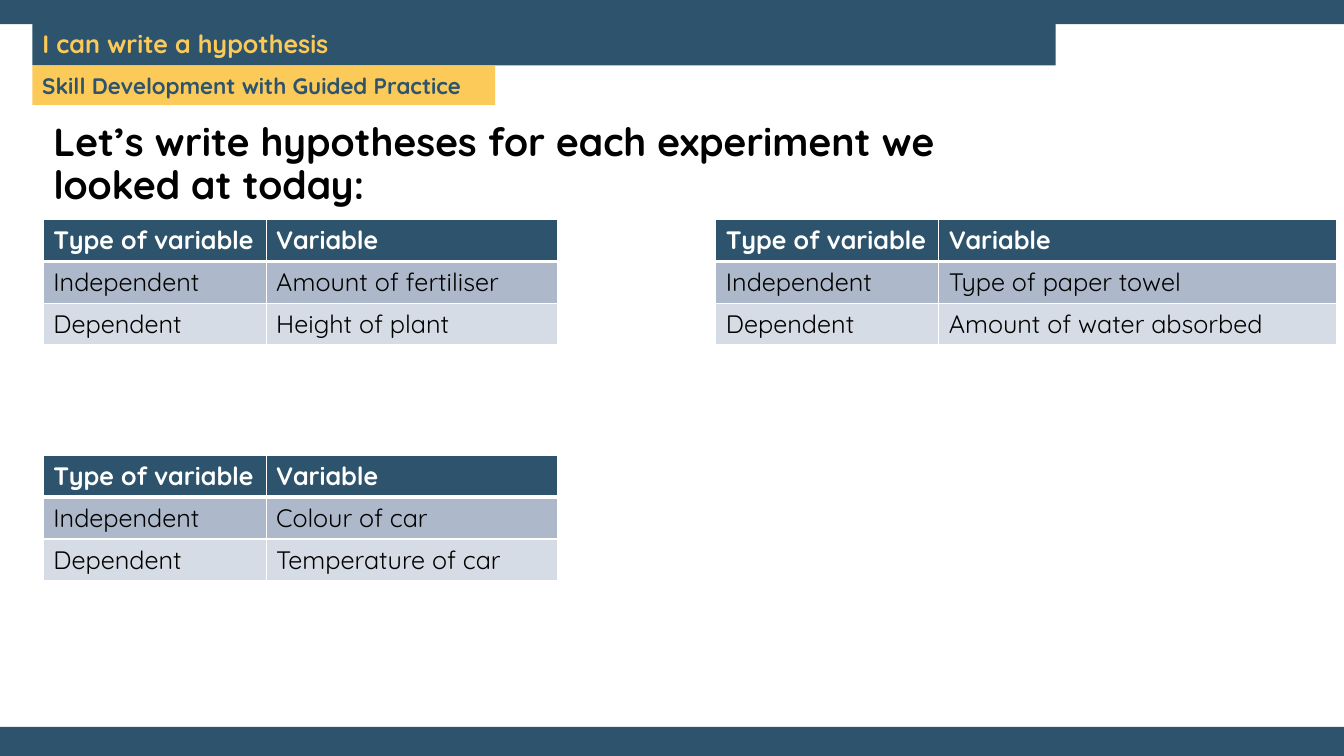
from dataclasses import dataclass

import pptx
import pptx.dml.color
import pptx.enum.shapes
import pptx.enum.text
import pptx.oxml
import pptx.oxml.ns
import pptx.util
from pptx.util import Inches


@dataclass(frozen=True)
class Theme:
    font: str = "Quicksand"
    navy: str = "2E546D"
    yellow: str = "FBCA58"
    white: str = "FFFFFF"
    black: str = "000000"
    row_fills: tuple[str, ...] = ("2E546D", "ADB9CA", "D6DCE5")
    label_size: int = 16
    text_size: int = 18
    prompt_size: int = 28
    thin_border: int = 1
    header_border: int = 3


@dataclass(frozen=True)
class Box:
    left: float
    top: float
    width: float
    height: float


@dataclass(frozen=True)
class Experiment:
    left: float
    top: float
    variable_width: float
    independent: str
    dependent: str


THEME = Theme()
TYPE_WIDTH = 2.21
ROW_HEIGHT = 0.41

TOP_BAR = Box(0, 0, 13.33, 0.24)
BOTTOM_BAR = Box(0, 7.21, 13.33, 0.29)
TITLE_BOX = Box(0.32, 0.24, 10.15, 0.41)
LABEL_BOX = Box(0.32, 0.65, 4.59, 0.39)
PROMPT_BOX = Box(0.43, 1.17, 9.93, 3)

EXPERIMENTS = (
    Experiment(0.43, 2.18, 2.89, "Amount of fertiliser", "Height of plant"),
    Experiment(0.43, 4.52, 2.89, "Colour of car", "Temperature of car"),
    Experiment(7.1, 2.18, 3.95, "Type of paper towel", "Amount of water absorbed"),
)


def rgb(colour: str) -> pptx.dml.color.RGBColor:
    return pptx.dml.color.RGBColor.from_string(colour)


def paint(target, colour: str) -> None:
    target.fill.solid()
    target.fill.fore_color.rgb = rgb(colour)


def write(text_frame, text: str, size: int, colour: str, bold: bool = True):
    paragraph = text_frame.paragraphs[0]
    paragraph.alignment = pptx.enum.text.PP_ALIGN.LEFT
    run = paragraph.add_run()
    run.text = text
    run.font.name = THEME.font
    run.font.size = pptx.util.Pt(size)
    run.font.bold = bold
    run.font.color.rgb = rgb(colour)
    return paragraph


def add_block(slide, box: Box, colour: str):
    shape = slide.shapes.add_shape(
        pptx.enum.shapes.MSO_SHAPE.RECTANGLE,
        Inches(box.left), Inches(box.top), Inches(box.width), Inches(box.height),
    )
    shape.shadow.inherit = False
    shape.line.fill.background()
    paint(shape, colour)
    return shape


def fill_placeholder(shape, box: Box, text: str, size: int, colour: str, anchor) -> None:
    shape.left, shape.top = Inches(box.left), Inches(box.top)
    shape.width, shape.height = Inches(box.width), Inches(box.height)
    frame = shape.text_frame
    frame.word_wrap = True
    frame.auto_size = pptx.enum.text.MSO_AUTO_SIZE.NONE
    frame.vertical_anchor = anchor
    # Plain paragraph: no bullet and no hanging indent
    properties = frame.paragraphs[0]._p.get_or_add_pPr()
    properties.set("marL", "0")
    properties.set("indent", "0")
    properties.append(pptx.oxml.parse_xml(f"<a:buNone {pptx.oxml.ns.nsdecls('a')}/>"))
    paragraph = write(frame, text, size, colour)
    paragraph.line_spacing = 0.9
    paragraph.space_before = pptx.util.Pt(0)


def set_borders(cell, row: int) -> None:
    widths = dict.fromkeys(("lnL", "lnR", "lnT", "lnB"), THEME.thin_border)
    if row == 0:
        widths["lnB"] = THEME.header_border
    elif row == 1:
        widths["lnT"] = THEME.header_border
    properties = cell._tc.get_or_add_tcPr()
    for tag, width in widths.items():
        properties.append(pptx.oxml.parse_xml(
            f"<a:{tag} {pptx.oxml.ns.nsdecls('a')} w=\"{pptx.util.Pt(width)}\">"
            f"<a:solidFill><a:srgbClr val=\"{THEME.white}\"/></a:solidFill></a:{tag}>"
        ))


def add_variable_table(slide, experiment: Experiment) -> None:
    rows = (
        ("Type of variable", "Variable"),
        ("Independent", experiment.independent),
        ("Dependent", experiment.dependent),
    )
    widths = (TYPE_WIDTH, experiment.variable_width)
    table = slide.shapes.add_table(
        len(rows), len(widths), Inches(experiment.left), Inches(experiment.top),
        Inches(sum(widths)), Inches(ROW_HEIGHT * len(rows)),
    ).table
    for column, width in zip(table.columns, widths):
        column.width = Inches(width)
    for row, texts in enumerate(rows):
        is_header = row == 0
        for column, text in enumerate(texts):
            cell = table.cell(row, column)
            set_borders(cell, row)
            paint(cell, THEME.row_fills[row])
            colour = THEME.white if is_header else THEME.black
            write(cell.text_frame, text, THEME.text_size, colour, is_header)


def main() -> None:
    presentation = pptx.Presentation()
    presentation.slide_width = Inches(13.33)
    presentation.slide_height = Inches(7.5)
    slide = presentation.slides.add_slide(presentation.slide_layouts[1])
    paint(slide.background, THEME.white)

    # Learning goal and prompt
    title, prompt = slide.shapes.title, slide.placeholders[1]
    paint(title, THEME.navy)
    fill_placeholder(title, TITLE_BOX, "I can write a hypothesis", THEME.text_size,
                     THEME.yellow, pptx.enum.text.MSO_ANCHOR.MIDDLE)
    fill_placeholder(prompt, PROMPT_BOX,
                     "Let’s write hypotheses for each experiment we looked at today:",
                     THEME.prompt_size, THEME.black, pptx.enum.text.MSO_ANCHOR.TOP)

    # Frame bars and lesson stage label
    for bar in (TOP_BAR, BOTTOM_BAR):
        add_block(slide, bar, THEME.navy)
    label = add_block(slide, LABEL_BOX, THEME.yellow)
    label.text_frame.word_wrap = True
    label.text_frame.vertical_anchor = pptx.enum.text.MSO_ANCHOR.MIDDLE
    write(label.text_frame, "Skill Development with Guided Practice",
          THEME.label_size, THEME.navy)

    # Variables of each experiment
    for experiment in EXPERIMENTS:
        add_variable_table(slide, experiment)

    presentation.save("out.pptx")


if __name__ == "__main__":
    main()
